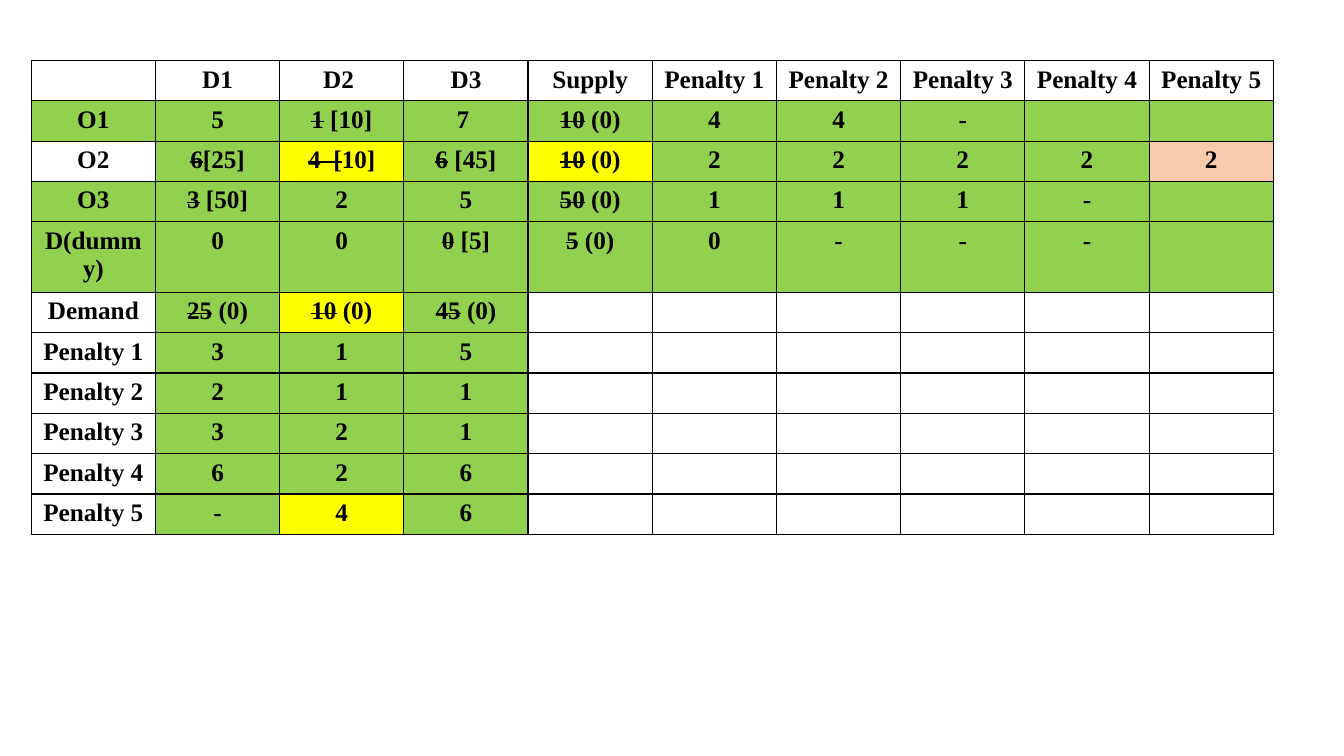
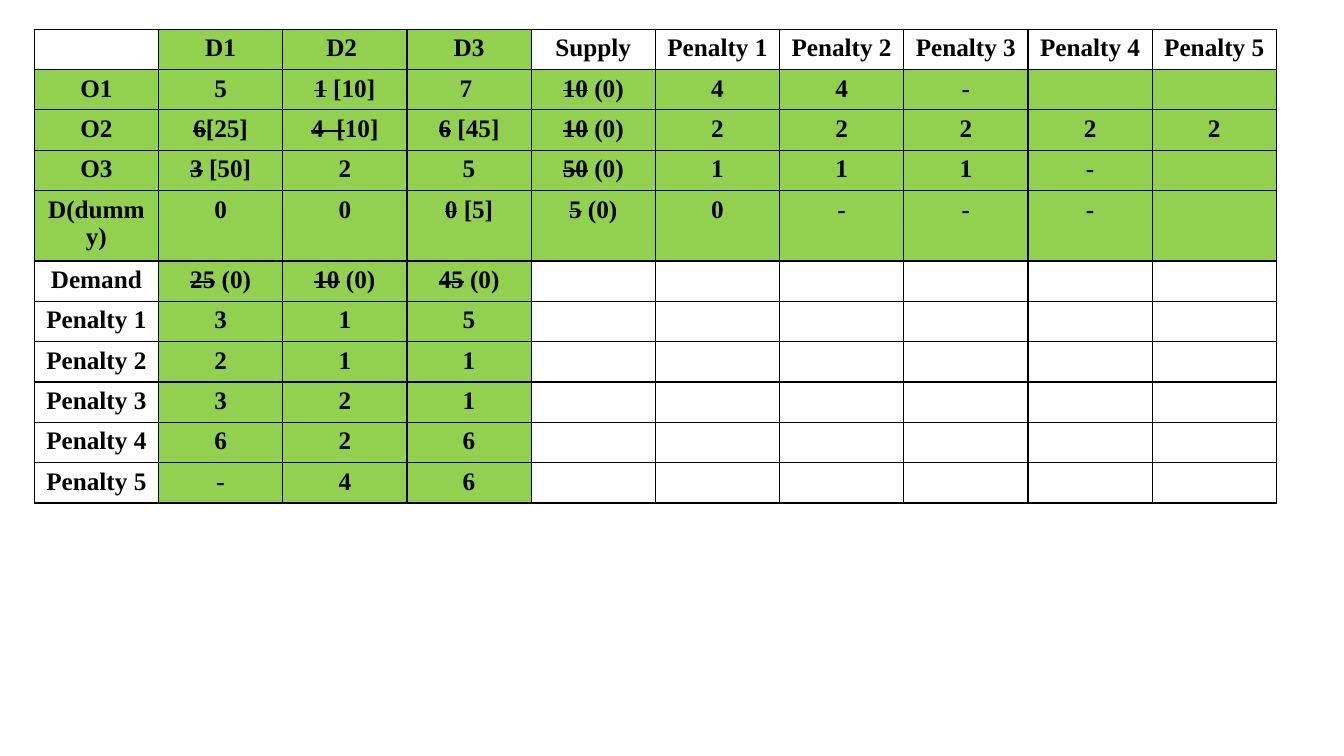
from dataclasses import dataclass, field

from lxml.etree import SubElement
from pptx import Presentation
from pptx.dml.color import RGBColor
from pptx.enum.text import PP_ALIGN as Align
from pptx.oxml.ns import qn
from pptx.util import Inches, Pt

COLORS = {
    "ink": "000000",
    "open": "FFFFFF",
    "done": "92D050",
    "current": "FFFF00",
    "last": "F8CBAD",
}
FONT = "Times New Roman"
FONT_SIZE = Pt(18)
BORDER = Pt(1)
COLUMN_WIDTH = 1.232
ROW_HEIGHT = 0.4
TALL_ROW_HEIGHT = 0.7
DUMMY_ROW = 4
STRIKE_MARK = "~"

PENALTIES = [f"Penalty {number}" for number in range(1, 6)]
ROWS = [
    ["", "D1", "D2 ", "D3", "Supply", *PENALTIES],
    ["O1", "5", "~1~ [10]", "7 ", "~10~ (0)", "4", "4", "-", "", ""],
    ["O2", "~6~[25]", "~4  [~10]", "~6~ [45]", "~10~ (0)", "2", "2", "2", "2", "2"],
    ["O3", "~3~ [50]", "2", "5", "~50~ (0)", "1", "1", "1", "-", ""],
    ["D(dummy)", "0", "0", "~0~ [5]", "~5~ (0)", "0", "-", "-", "-", ""],
    ["Demand", "~25~ (0)", "~10~ (0)", "~45~ (0)"],
    [PENALTIES[0], "3", "1", "5"],
    [PENALTIES[1], "2", "1", "1"],
    [PENALTIES[2], "3", "2", "1"],
    [PENALTIES[3], "6", "2", "6"],
    [PENALTIES[4], "-", "4", "6"],
]
COLUMN_COUNT = len(ROWS[0])


@dataclass(frozen=True)
class Step:
    left: float
    top: float
    fills: dict[tuple[int, int], str] = field(default_factory=dict)


STEPS = [
    Step(
        left=0.31,
        top=0.6,
        fills={
            (2, 0): "open",
            (2, 2): "current",
            (2, 4): "current",
            (2, 9): "last",
            (5, 2): "current",
            (10, 2): "current",
        },
    ),
    Step(left=0.34, top=0.29, fills={(0, column): "done" for column in (1, 2, 3)}),
]


def fill_name(step: Step, row: int, column: int) -> str:
    is_source = 1 <= row <= DUMMY_ROW
    is_destination = row > DUMMY_ROW and 1 <= column <= 3
    default = "done" if is_source or is_destination else "open"
    return step.fills.get((row, column), default)


def draw_borders(cell) -> None:
    properties = cell._tc.get_or_add_tcPr()
    for side in ("lnL", "lnR", "lnT", "lnB"):
        line = SubElement(properties, qn(f"a:{side}"), w=str(BORDER))
        paint = SubElement(line, qn("a:solidFill"))
        SubElement(paint, qn("a:srgbClr"), val=COLORS["ink"])


def write_text(cell, text: str) -> None:
    para = cell.text_frame.paragraphs[0]
    para.alignment = Align.CENTER
    if not text:
        ending = SubElement(para._p, qn("a:endParaRPr"), sz=str(int(FONT_SIZE.pt * 100)))
        SubElement(ending, qn("a:latin"), typeface=FONT)
    for index, part in enumerate(text.split(STRIKE_MARK)):
        if not part:
            continue
        span = para.add_run()
        span.text = part
        span.font.name = FONT
        span.font.size = FONT_SIZE
        span.font.bold = True
        span.font.color.rgb = RGBColor.from_string(COLORS["ink"])
        if index % 2:
            span._r.get_or_add_rPr().set("strike", "sngStrike")


def add_allocation_table(page, step: Step) -> None:
    heights = [TALL_ROW_HEIGHT if row == DUMMY_ROW else ROW_HEIGHT for row in range(len(ROWS))]
    frame = page.shapes.add_table(
        len(ROWS),
        COLUMN_COUNT,
        Inches(step.left),
        Inches(step.top),
        Inches(COLUMN_WIDTH * COLUMN_COUNT),
        Inches(sum(heights)),
    )
    table = frame.table
    table.first_row = False
    table.horz_banding = False
    for row, height in enumerate(heights):
        table.rows[row].height = Inches(height)
        texts = ROWS[row] + [""] * (COLUMN_COUNT - len(ROWS[row]))
        for column, text in enumerate(texts):
            cell = table.cell(row, column)
            draw_borders(cell)
            cell.fill.solid()
            color = COLORS[fill_name(step, row, column)]
            cell.fill.fore_color.rgb = RGBColor.from_string(color)
            write_text(cell, text)


def main() -> None:
    deck = Presentation()
    deck.slide_width = Inches(13.33)
    deck.slide_height = Inches(7.5)
    blank = deck.slide_layouts[6]
    for step in STEPS:
        add_allocation_table(deck.slides.add_slide(blank), step)
    deck.save("out.pptx")


if __name__ == "__main__":
    main()
